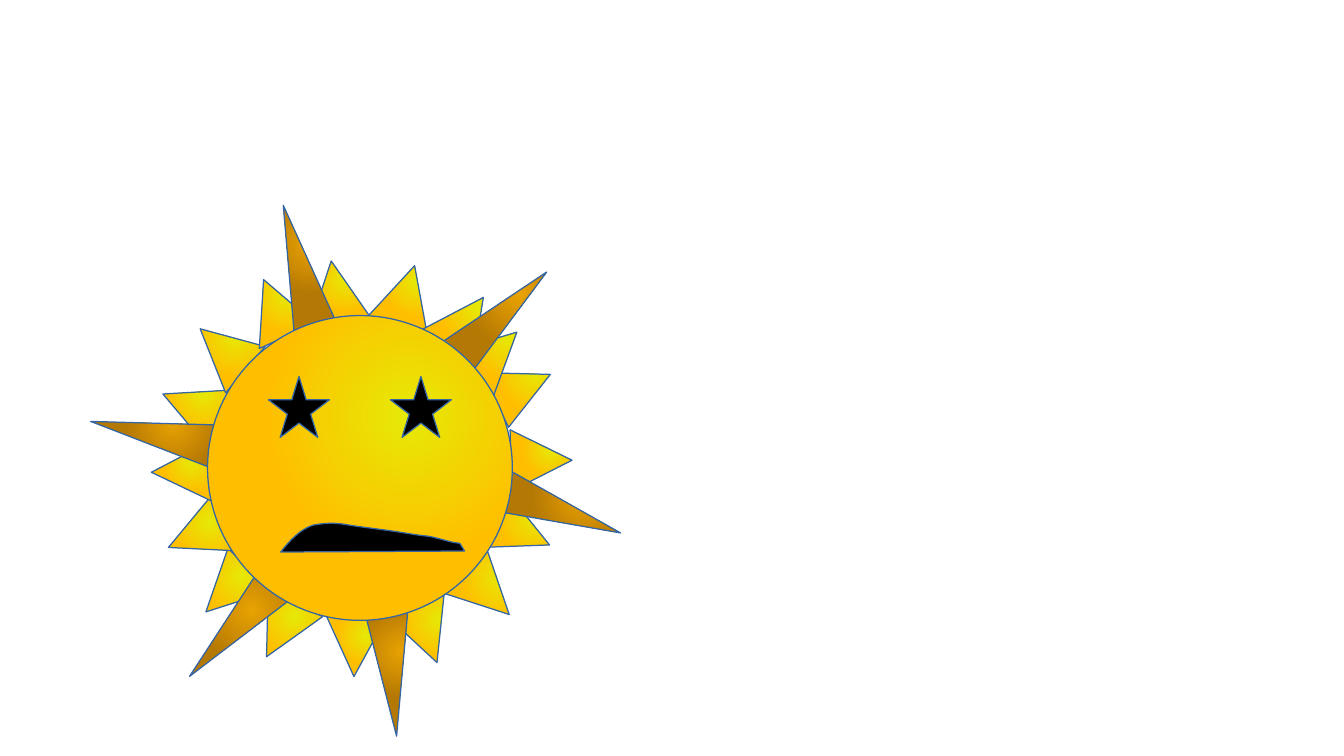
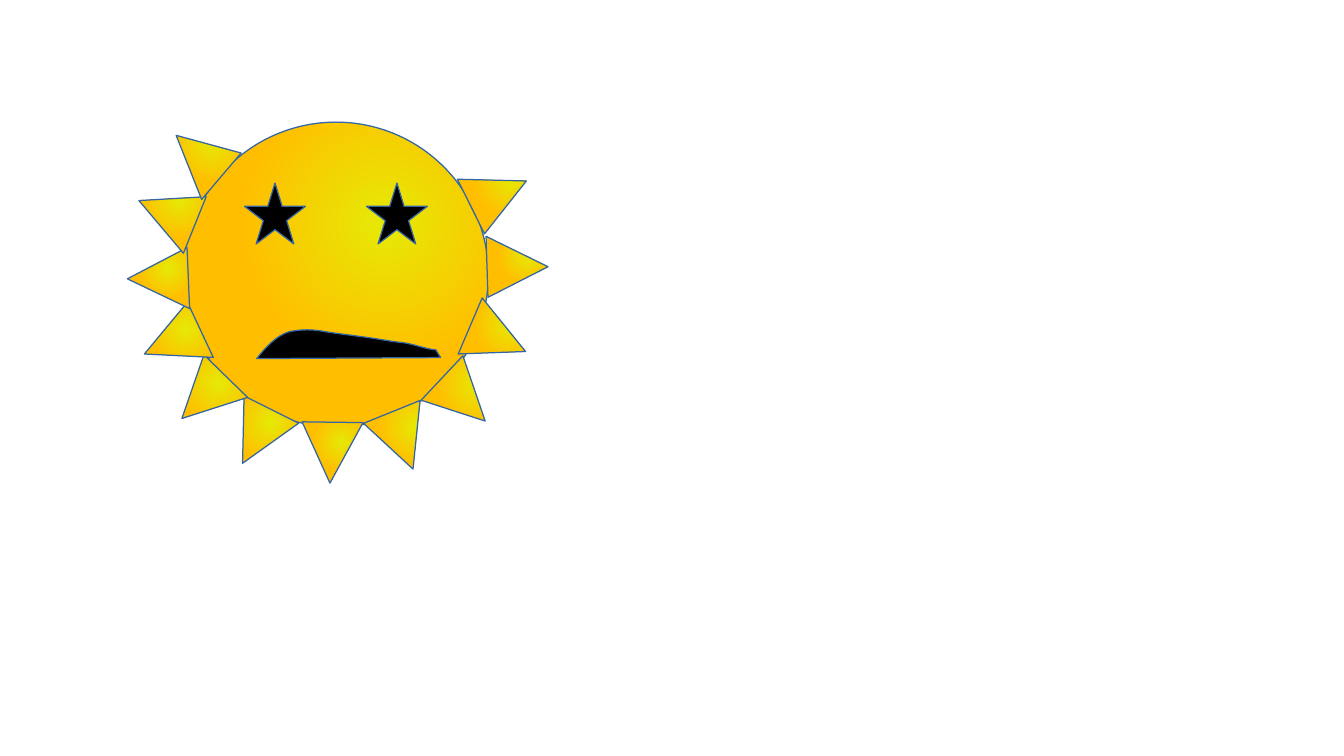
from lxml.etree import SubElement
from pptx import Presentation
from pptx.dml.color import RGBColor
from pptx.enum.shapes import MSO_SHAPE
from pptx.oxml.ns import qn
from pptx.util import Cm, Pt

YELLOW = RGBColor(0xE6, 0xE9, 0x05)
AMBER = RGBColor(0xFF, 0xBF, 0x00)
GOLD = RGBColor(0xE8, 0xA2, 0x02)
BROWN = RGBColor(0xB4, 0x78, 0x04)
BLACK = RGBColor(0x00, 0x00, 0x00)
OUTLINE = RGBColor(0x34, 0x65, 0xA4)

DISC = 6.35
SHORT_RAY = (1.27, 1.27)
LONG_RAY = (0.9, 2.62)
EYE = 1.27

# Rays: rotation in degrees, then the centre in cm from the centre of the sun
SIDE_RAYS = [
    (63.5, 3.38, -1.7), (113.1, 3.38, 1.32), (88.2, 3.78, -0.18),
    (133.2, 2.67, 2.59), (158, 1.4, 3.45), (180.7, -0.08, 3.71),
    (206.5, -1.63, 3.38), (224.3, -2.74, 2.57), (244.9, -3.4, 1.42),
    (267.6, -3.71, 0.1), (291.9, -3.53, -1.27), (310.4, -2.87, -2.46),
]
TOP_RAYS = [
    (335.7, -1.78, -3.33), (350.3, -0.53, -3.68), (14.8, 0.94, -3.61),
    (34.5, 2.18, -3.05), (45.3, 2.79, -2.41),
]
LONG_RAYS = [
    (344.8, -1.28, -4.2), (45.9, 2.93, -3.19), (109.1, 4.2, 0.9),
    (174.8, 0.67, 4.28), (222.3, -2.65, 3.39), (280.8, -4.33, -0.7),
]

# Mouth: start, curves (two controls and an end), last corner
MOUTH_START = (-1.65, 1.75)
MOUTH_CURVES = [
    ((-1.47, 1.52), (-1.24, 1.27), (-0.97, 1.19)),
    ((-0.71, 1.14), (-0.48, 1.14), (-0.23, 1.19)),
    ((0.08, 1.24), (0.38, 1.27), (0.71, 1.32)),
    ((0.94, 1.35), (1.17, 1.4), (1.4, 1.42)),
    ((1.63, 1.45), (1.85, 1.55), (2.08, 1.57)),
]
MOUTH_CORNER = (2.18, 1.73)


def curve_points(start, first, second, end, steps=8):
    """Points along a cubic curve, without its start."""
    for step in range(1, steps + 1):
        t = step / steps
        weights = ((1 - t) ** 3, 3 * t * (1 - t) ** 2, 3 * t * t * (1 - t), t ** 3)
        corners = (start, first, second, end)
        yield tuple(sum(w * corner[axis] for w, corner in zip(weights, corners))
                    for axis in (0, 1))


class SunDeck:
    """Holds the shared style, the current slide and the centre of its sun."""

    def __init__(self):
        self.deck = Presentation()
        self.deck.slide_width = Cm(28)
        self.deck.slide_height = Cm(15.75)

    def new_page(self, centre):
        self.page = self.deck.slides.add_slide(self.deck.slide_layouts[6])
        self.centre = centre

    def outline(self, shape):
        shape.shadow.inherit = False
        shape.line.color.rgb = OUTLINE
        shape.line.width = Pt(0)

    def glow(self, shape, inner, outer):
        """Fill with a round gradient centred at the upper right."""
        fill = SubElement(shape.element.spPr, qn("a:gradFill"), rotWithShape="0")
        stops = SubElement(fill, qn("a:gsLst"))
        for position, colour in ((0, inner), (67000, outer)):
            stop = SubElement(stops, qn("a:gs"), pos=str(position))
            SubElement(stop, qn("a:srgbClr"), val=str(colour))
        circle = SubElement(fill, qn("a:path"), {"path": "circle"})
        SubElement(circle, qn("a:fillToRect"), l="66000", t="33000", r="34000", b="67000")

    def blacken(self, shape):
        shape.fill.solid()
        shape.fill.fore_color.rgb = BLACK
        self.outline(shape)

    def place(self, kind, x, y, width, height):
        """Add a shape by its middle, measured from the centre of the sun."""
        left = self.centre[0] + x - width / 2
        top = self.centre[1] + y - height / 2
        return self.page.shapes.add_shape(kind, Cm(left), Cm(top), Cm(width), Cm(height))

    def rays(self, rays, size=SHORT_RAY, colours=(YELLOW, AMBER)):
        for rotation, x, y in rays:
            ray = self.place(MSO_SHAPE.ISOSCELES_TRIANGLE, x, y, *size)
            ray.adjustments[0] = 0.53
            ray.rotation = rotation
            self.glow(ray, *colours)
            self.outline(ray)

    def mouth(self):
        points = [MOUTH_START]
        for curve in MOUTH_CURVES:
            points.extend(curve_points(points[-1], *curve))
        points.append(MOUTH_CORNER)
        spots = [(Cm(self.centre[0] + x), Cm(self.centre[1] + y)) for x, y in points]
        builder = self.page.shapes.build_freeform(*spots[0])
        builder.add_line_segments(spots[1:], close=True)
        self.blacken(builder.convert_to_shape())

    def face(self):
        disc = self.place(MSO_SHAPE.OVAL, 0, 0, DISC, DISC)
        self.glow(disc, YELLOW, AMBER)
        self.outline(disc)
        for x in (-EYE, EYE):
            self.blacken(self.place(MSO_SHAPE.STAR_5_POINT, x, -EYE, EYE, EYE))
        self.mouth()


def main():
    sun = SunDeck()

    # Slide 1: full sun, rays behind the face
    sun.new_page((7.5, 9.75))
    sun.rays(SIDE_RAYS + TOP_RAYS)
    sun.rays(LONG_RAYS, LONG_RAY, (GOLD, BROWN))
    sun.face()

    # Slide 2: side rays in front of the face
    sun.new_page((7, 5.72))
    sun.face()
    sun.rays(SIDE_RAYS)

    sun.deck.save("out.pptx")


if __name__ == "__main__":
    main()
